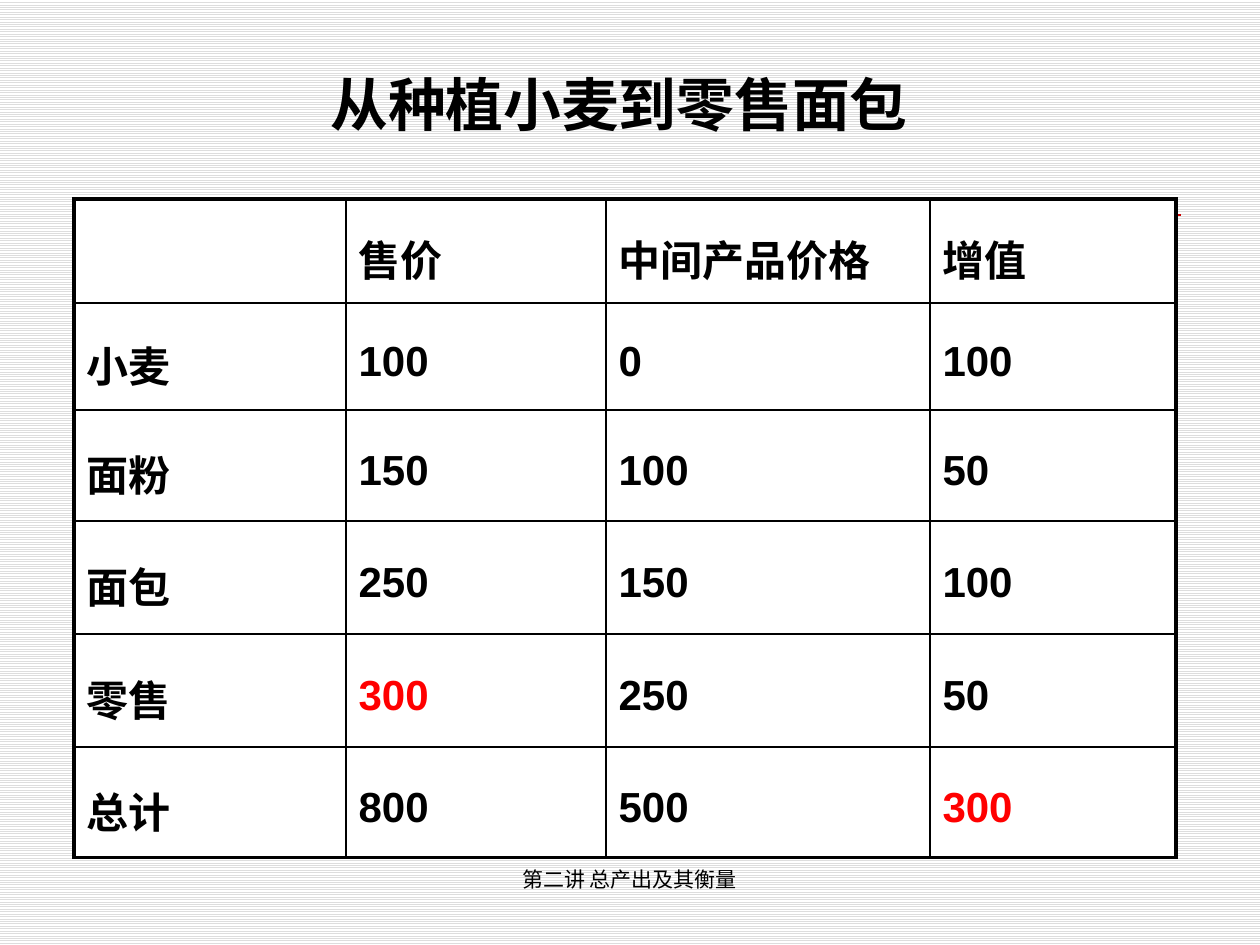
from lxml.etree import SubElement
from pptx import Presentation
from pptx.dml.color import RGBColor
from pptx.enum.dml import MSO_PATTERN
from pptx.enum.text import MSO_ANCHOR, MSO_AUTO_SIZE, PP_ALIGN
from pptx.oxml.ns import qn
from pptx.util import Emu, Pt

BLACK, WHITE, RED, GREY, ACCENT = "000000", "FFFFFF", "FF0000", "DDDDDD", "CC0000"


def px(length):
    return Emu(round(length * 914400 / 126))


def colour(code):
    return RGBColor.from_string(code)


class Deck:
    """Holds the style and the current slide."""

    def __init__(self, width, height):
        self.presentation = Presentation()
        self.presentation.slide_width = px(width)
        self.presentation.slide_height = px(height)
        self.slide = self.presentation.slides.add_slide(self.presentation.slide_layouts[6])

    def stripes(self, front, back):
        fill = self.slide.background.fill
        fill.patterned()
        fill.pattern = MSO_PATTERN.LIGHT_HORIZONTAL
        fill.fore_color.rgb = colour(front)
        fill.back_color.rgb = colour(back)

    def run(self, paragraph, text, size, font, bold=False, code=BLACK):
        run = paragraph.add_run()
        run.text = text
        run.font.size = Pt(size)
        run.font.name = font
        run.font.bold = bold
        run.font.color.rgb = colour(code)

    def banner(self, left, top, middle, right, bottom, code, width):
        outline = self.slide.shapes.build_freeform(px(left), px(top), scale=1.0)
        corners = [(middle, top), (middle, bottom), (left, bottom)]
        outline.add_line_segments([(px(x), px(y)) for x, y in corners], close=True)
        outline.move_to(px(left), px(top))
        outline.add_line_segments([(px(right), px(top))], close=False)
        banner = outline.convert_to_shape()
        banner.shadow.inherit = False
        banner.fill.solid()
        banner.fill.fore_color.rgb = colour(code)
        banner.line.color.rgb = colour(code)
        banner.line.width = Pt(width)

    def text(self, box, text, size, font, bold=False, before=0, grow=False):
        frame = self.slide.shapes.add_textbox(*map(px, box)).text_frame
        frame.word_wrap = True
        if grow:
            frame.auto_size = MSO_AUTO_SIZE.SHAPE_TO_FIT_TEXT
        paragraph = frame.paragraphs[0]
        paragraph.alignment = PP_ALIGN.CENTER
        paragraph.space_before = Pt(before)
        self.run(paragraph, text, size, font, bold)

    def border(self, cell, side, width):
        line = SubElement(cell._tc.get_or_add_tcPr(), qn(f"a:ln{side}"), w=str(Pt(width)))
        SubElement(SubElement(line, qn("a:solidFill")), qn("a:srgbClr"), val=BLACK)

    def table(self, left, top, widths, heights, rows, highlights):
        box = map(px, (left, top, sum(widths), sum(heights)))
        table = self.slide.shapes.add_table(len(heights), len(widths), *box).table
        table.first_row = table.horz_banding = False
        for column, width in zip(table.columns, widths):
            column.width = px(width)
        for row, height in zip(table.rows, heights):
            row.height = px(height)
        for r, row in enumerate(rows):
            for c, text in enumerate(row):
                cell = table.cell(r, c)
                outer = {"L": c == 0, "R": c == len(widths) - 1, "T": r == 0, "B": r == len(heights) - 1}
                for side, edge in outer.items():
                    self.border(cell, side, 2.25 if edge else 1)
                cell.fill.solid()
                cell.fill.fore_color.rgb = colour(WHITE)
                cell.vertical_anchor = MSO_ANCHOR.MIDDLE
                if text:
                    paragraph = cell.text_frame.paragraphs[0]
                    paragraph.line_spacing = 1.25
                    paragraph.space_before = Pt(4.8)
                    self.run(paragraph, text, 24, "Arial", True, RED if (r, c) in highlights else BLACK)


deck = Deck(1260, 945)
deck.stripes(GREY, WHITE)
deck.banner(84, 215, 726, 1181, 231, ACCENT, 0.75)
stages = [
    ("", "售价", "中间产品价格", "增值"),
    ("小麦", "100", "0", "100"),
    ("面粉", "150", "100", "50"),
    ("面包", "250", "150", "100"),
    ("零售", "300", "250", "50"),
    ("总计", "800", "500", "300"),
]
deck.table(74, 199, (272, 260, 324, 246), (104, 107, 111, 113, 113, 111), stages, {(4, 1), (5, 3)})
deck.text((157, 63, 924, 82), "从种植小麦到零售面包", 33, "Times New Roman", bold=True, before=16.5, grow=True)
deck.text((430, 860, 399, 66), "第二讲 总产出及其衡量", 12, "DejaVu Sans")
deck.presentation.save("out.pptx")
